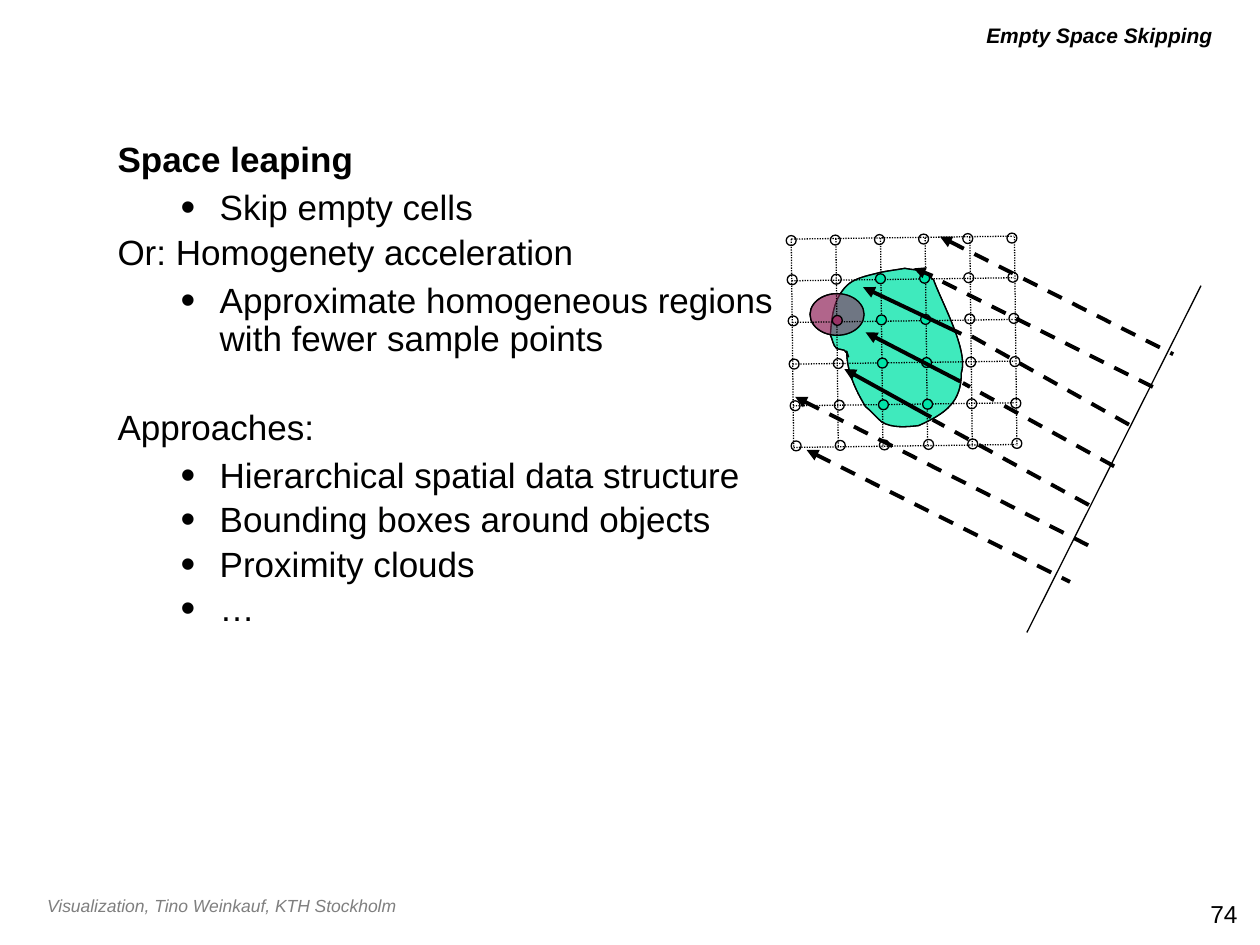
from itertools import chain, product

from lxml.etree import SubElement
from pptx import Presentation
from pptx.dml.color import RGBColor
from pptx.enum.dml import MSO_LINE
from pptx.enum.shapes import MSO_CONNECTOR, MSO_SHAPE
from pptx.enum.text import MSO_ANCHOR, MSO_AUTO_SIZE, PP_ALIGN
from pptx.oxml.ns import qn
from pptx.util import Cm, Pt

BLACK = RGBColor(0x00, 0x00, 0x00)
GREY = RGBColor(0x7F, 0x7F, 0x7F)
GREEN = RGBColor(0x00, 0xE4, 0xA8)
PURPLE = RGBColor(0x99, 0x33, 0x66)

OUTLINE = [
    (0, "Space leaping"),
    (1, "Skip empty cells"),
    (0, "Or: Homogenety acceleration"),
    (1, "Approximate homogeneous regions with fewer sample points"),
    (0, "Approaches:"),
    (1, "Hierarchical spatial data structure"),
    (1, "Bounding boxes around objects"),
    (1, "Proximity clouds"),
    (1, "…"),
]
LEVEL_MARGINS = [(0.97, -0.97), (2.06, -0.79)]
LEVEL_SPACE_AFTER = [6, 3.8]

VOLUME_START = (1.32, 2.51)
VOLUME_CURVES = [
    [(1.32, 2.92), (1.5, 3.3), (1.7, 3.63)],
    [(1.83, 3.73), (1.91, 3.84), (2.03, 3.94)],
    [(2.24, 4.06), (2.51, 4.04), (2.77, 4.01)],
    [(3.33, 3.76), (3.63, 3.53), (3.63, 2.95)],
    [(3.78, 2.49), (3.23, 1.52), (3.07, 1.07)],
    [(2.72, 0.81), (2.87, 0.91), (2.49, 0.84)],
    [(2.39, 0.86), (2.01, 0.91), (1.93, 0.94)],
    [(1.73, 0.99), (1.47, 1.04), (1.32, 1.19)],
    [(1.04, 1.47), (1.02, 1.85), (0.99, 2.18)],
    [(1.04, 2.29), (1.04, 2.39), (1.12, 2.46)],
    [(1.17, 2.49), (1.24, 2.46), (1.27, 2.49)],
    [(1.35, 2.54), (1.4, 2.77), (1.32, 2.51)],
]
GRID_SIZE = 6
NODE_ROW_TOPS = [0.18, 0.97, 1.8, 2.67, 3.51, 4.32]
SAMPLED_RAYS = [
    ((1.65, 1.22), (3.63, 2.16)),
    ((1.7, 2.13), (3.61, 3.12)),
    ((2.67, 0.84), (3.05, 0.99)),
    ((1.27, 2.87), (3.02, 3.84)),
]
SKIPPED_RAYS = [
    ((6.2, 5.61), (3.05, 3.89)),
    ((6.71, 4.83), (3.66, 3.15)),
    ((7.01, 3.99), (3.66, 2.11)),
    ((7.49, 3.23), (3.07, 1.02)),
]
MISSING_RAYS = [
    ((3.2, 0.2), (7.9, 2.57)),
    ((0.28, 3.43), (6.2, 6.43)),
    ((0.51, 4.5), (5.82, 7.16)),
]


def write_text(paragraph, text, size=20, color=BLACK, bold=False, italic=False,
               align=PP_ALIGN.LEFT):
    """Add one formatted run to a paragraph."""
    paragraph.alignment = align
    run = paragraph.add_run()
    run.text = text
    font = run.font
    font.name, font.size = "Arial", Pt(size)
    font.bold, font.italic = bold, italic
    font.color.rgb = color


def add_text_frame(slide, left, top, width, height):
    """Add a wrapping text box and return its frame."""
    frame = slide.shapes.add_textbox(Cm(left), Cm(top), Cm(width), Cm(height)).text_frame
    frame.word_wrap = True
    return frame


def place_title(slide, left, top, width, height):
    """Move and format the title placeholder."""
    title = slide.shapes.title
    title.left, title.top, title.width, title.height = Cm(left), Cm(top), Cm(width), Cm(height)
    frame = title.text_frame
    frame.auto_size = MSO_AUTO_SIZE.NONE
    frame.vertical_anchor = MSO_ANCHOR.TOP
    write_text(frame.paragraphs[0], "Empty Space Skipping", size=12, bold=True,
               italic=True, align=PP_ALIGN.RIGHT)


def add_bullet(properties):
    """Give a paragraph a large black bullet."""
    color = SubElement(properties, qn("a:buClr"))
    SubElement(color, qn("a:srgbClr"), val=str(BLACK))
    SubElement(properties, qn("a:buSzPct"), val="120000")
    SubElement(properties, qn("a:buFont"), typeface="Arial")
    SubElement(properties, qn("a:buChar"), char="•")


def add_outline(slide, left, top, width, height):
    """Write the two-level outline into the given box."""
    frame = add_text_frame(slide, left, top, width, height)
    for index, (level, text) in enumerate(OUTLINE):
        paragraph = frame.add_paragraph() if index else frame.paragraphs[0]
        paragraph.level = level
        paragraph.line_spacing = 0.9
        paragraph.space_after = Pt(LEVEL_SPACE_AFTER[level])
        if text == "Approaches:":
            paragraph.space_before = Pt(25.4)
        properties = paragraph._p.get_or_add_pPr()
        margin, indent = LEVEL_MARGINS[level]
        properties.set("marL", str(Cm(margin)))
        properties.set("indent", str(Cm(indent)))
        if level:
            add_bullet(properties)
        write_text(paragraph, text, bold=index == 0)


def format_shape(shape, fill=None, opacity=100):
    """Set a thin black outline and an optional, partly transparent fill."""
    shape.shadow.inherit = False
    shape.line.color.rgb = BLACK
    shape.line.width = Pt(0.75)
    if fill is None:
        shape.fill.background()
        return
    shape.fill.solid()
    shape.fill.fore_color.rgb = fill
    if opacity < 100:
        color = shape._element.spPr.find(qn("a:solidFill"))[0]
        SubElement(color, qn("a:alpha"), val=str(opacity * 1000))


def curve_outline(shape):
    """Turn each three line segments of a freeform into one cubic curve."""
    outline = next(shape._element.iter(qn("a:path")))
    segments = outline.findall(qn("a:lnTo"))
    for first in range(0, len(segments), 3):
        curve = SubElement(outline, qn("a:cubicBezTo"))
        for segment in segments[first:first + 3]:
            curve.append(segment[0])
            outline.remove(segment)
    outline.append(outline.find(qn("a:close")))


def add_ray_casting_diagram(slide, left, top):
    """Draw the volume, its sample grid, the rays and the view plane."""
    group = slide.shapes.add_group_shape().shapes

    def position(point):
        return Cm(left + point[0]), Cm(top + point[1])

    def add_ellipse(point, width, height, fill=None, opacity=100):
        ellipse = group.add_shape(MSO_SHAPE.OVAL, *position(point), Cm(width), Cm(height))
        format_shape(ellipse, fill, opacity)

    def add_line(start, end, width=0.75, dash=None, arrow=False):
        line = group.add_connector(MSO_CONNECTOR.STRAIGHT, *position(start), *position(end))
        line.line.color.rgb = BLACK
        line.line.width = Pt(width)
        if dash:
            line.line.dash_style = dash
        if arrow:
            SubElement(line.line._get_or_add_ln(), qn("a:headEnd"), type="triangle")
        SubElement(line._element.spPr, qn("a:effectLst"))

    for _ in range(2):
        builder = group.build_freeform(*position(VOLUME_START))
        builder.add_line_segments(
            [position(point) for point in chain.from_iterable(VOLUME_CURVES)])
        volume = builder.convert_to_shape()
        curve_outline(volume)
        format_shape(volume, GREEN, 50)
        add_ellipse((0.58, 1.35), 1.09, 0.84, PURPLE, 50)
    add_line((8.46, 1.19), (4.95, 8.18))

    for index in range(GRID_SIZE):
        x, y = 0.2 + 0.9 * index, 0.25 - 0.01 * index
        add_line((x, y), (x + 0.05, y + 4.22), dash=MSO_LINE.ROUND_DOT)
        x, y = 0.2 + 0.01 * index, 0.25 + 0.84 * index
        add_line((x, y), (x + 4.48, y - 0.06), dash=MSO_LINE.ROUND_DOT)

    for row, column in product(range(GRID_SIZE), repeat=2):
        inside = 1 <= row <= 4 and column in (2, 3)
        fill = GREEN if inside else PURPLE if (row, column) == (2, 1) else None
        x = 0.1 + 0.89 * column + 0.02 * row
        add_ellipse((x, NODE_ROW_TOPS[row] - 0.01 * column), 0.2, 0.2, fill)

    for rays, dash, arrow in ((SAMPLED_RAYS, None, True),
                              (SKIPPED_RAYS, MSO_LINE.DASH, False),
                              (MISSING_RAYS, MSO_LINE.DASH, True)):
        for start, end in rays:
            add_line(start, end, width=2.25, dash=dash, arrow=arrow)


def add_footer(slide, left, top, width):
    """Write the course line and the slide number along the bottom."""
    course = add_text_frame(slide, left, top, 18.77, 0.69)
    write_text(course.paragraphs[0], "Visualization, Tino Weinkauf, KTH Stockholm",
               size=10, color=GREY, italic=True)
    number = add_text_frame(slide, left + width - 1.9, top + 0.08, 1.9, 0.86)
    write_text(number.paragraphs[0], "74", size=14, align=PP_ALIGN.RIGHT)


def main():
    """Build and save the slide."""
    presentation = Presentation()
    presentation.slide_width, presentation.slide_height = Cm(25.4), Cm(19.05)
    slide = presentation.slides.add_slide(presentation.slide_layouts[5])
    place_title(slide, 4.02, 0.33, 20.68, 0.79)
    add_outline(slide, 2.12, 2.74, 13.75, 15.24)
    add_ray_casting_diagram(slide, 15.75, 4.57)
    add_footer(slide, 0.7, 17.91, 24.5)
    presentation.save("out.pptx")


if __name__ == "__main__":
    main()
